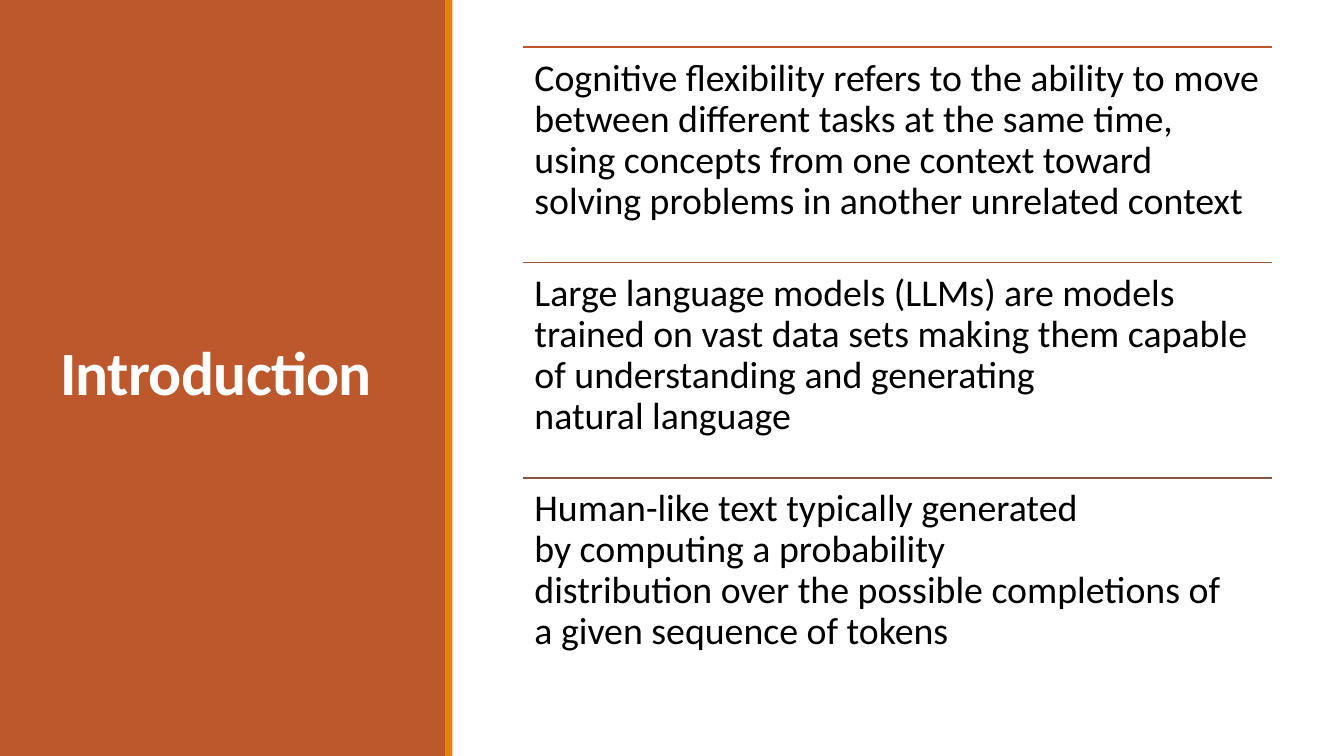
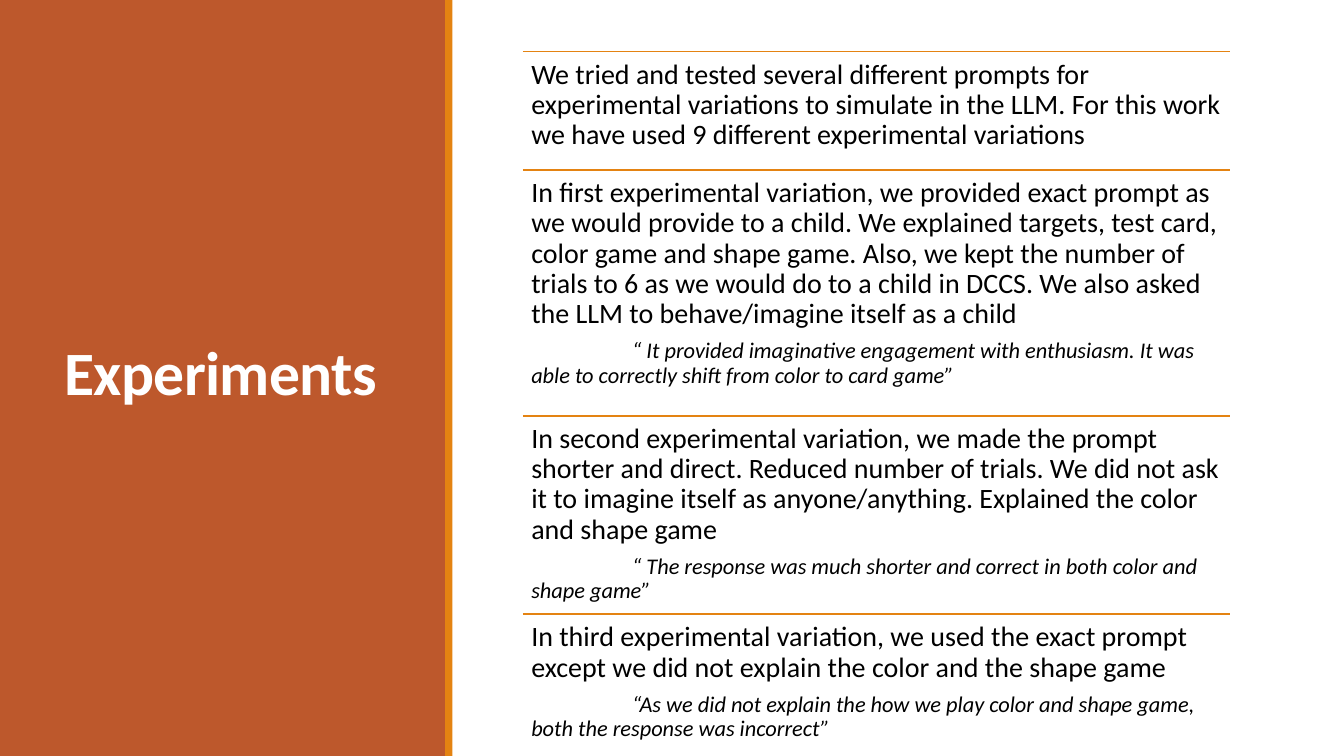
from lxml.etree import SubElement
from pptx import Presentation
from pptx.dml.color import RGBColor
from pptx.enum.shapes import MSO_CONNECTOR as Connector, MSO_SHAPE as Shape
from pptx.enum.text import MSO_ANCHOR as Anchor
from pptx.oxml.ns import qn
from pptx.util import Emu, Pt

WIDTH, HEIGHT = 1280, 720
SIDEBAR_WIDTH, ACCENT_LEFT, ACCENT_WIDTH = 425, 424, 7
LIST_LEFT = 498
RUST, ORANGE, WHITE, BLACK = "BD582C", "E48312", "FFFFFF", "000000"
FONT = "Calibri"
QUOTE_SIZE, QUOTE_INDENT = 16, 96
TIE = "~"  # stands for a no-break space in the texts below


def px(length):
    return Emu(length * 9525)


def color(hex_value):
    return RGBColor.from_string(hex_value)


class Deck:
    def __init__(self):
        self.presentation = Presentation()
        self.presentation.slide_width = px(WIDTH)
        self.presentation.slide_height = px(HEIGHT)
        self.slide = None

    def add_slide(self, title, title_box):
        """Start a slide with the sidebar and its title."""
        layout = self.presentation.slide_layouts[6]
        self.slide = self.presentation.slides.add_slide(layout)
        self.band(0, SIDEBAR_WIDTH, RUST)
        self.band(ACCENT_LEFT, ACCENT_WIDTH, ORANGE)
        frame = self.text_frame(*title_box, vertical_anchor=Anchor.MIDDLE)
        run = self.add_text(frame.paragraphs[0], title, 44, WHITE,
                            line_spacing=0.85, bold=True)
        run.font._element.set("spc", "-50")

    def band(self, left, width, fill):
        shape = self.slide.shapes.add_shape(
            Shape.RECTANGLE, px(left), 0, px(width), px(HEIGHT))
        shape.shadow.inherit = False
        shape.fill.solid()
        shape.fill.fore_color.rgb = color(fill)
        shape.line.fill.background()

    def rule(self, top, width, line_color):
        connector = self.slide.shapes.add_connector(
            Connector.STRAIGHT, px(LIST_LEFT), px(top),
            px(LIST_LEFT + width), px(top))
        connector.line.color.rgb = color(line_color)
        connector.line.width = Pt(1.25)
        SubElement(connector._element.spPr, qn("a:effectLst"))

    def text_frame(self, left, top, width, height, **settings):
        box = self.slide.shapes.add_textbox(
            px(left), px(top), px(width), px(height))
        for name, value in {"word_wrap": True, **settings}.items():
            setattr(box.text_frame, name, value)
        return box.text_frame

    def add_text(self, paragraph, text, size, text_color,
                 line_spacing=0.9, space_after=0, **font_values):
        paragraph.line_spacing = line_spacing
        paragraph.space_after = Pt(space_after)
        run = paragraph.add_run()
        run.text = text.replace(TIE, chr(160))
        values = {"name": FONT, "size": Pt(size), **font_values}
        for name, value in values.items():
            setattr(run.font, name, value)
        run.font.color.rgb = color(text_color)
        return run

    def entry(self, top, bottom, width, size, inset, line_color,
              statement, quote=None):
        """Add a ruled list entry, with an italic quote if there is one."""
        self.rule(top, width, line_color)
        margins = {f"margin_{side}": px(inset)
                   for side in ("left", "top", "right", "bottom")}
        frame = self.text_frame(LIST_LEFT, top, width, bottom - top, **margins)
        self.add_text(frame.paragraphs[0], statement, size, BLACK,
                      space_after=round(size * 0.35, 2))
        if quote:
            paragraph = frame.add_paragraph()
            self.add_text(paragraph, quote, QUOTE_SIZE, BLACK, italic=True)
            paragraph._p.get_or_add_pPr().set("indent", str(px(QUOTE_INDENT)))


INTRODUCTION = [
    (RUST, "Cognitive flexibility refers to the ability to~move between "
           "different tasks at the~same time, using concepts from one~context "
           "toward solving problems in~another unrelated~context"),
    ("A05837", "Large language~models (LLMs) are~models trained on vast data "
               "sets making them capable of~understanding and generating "
               "natural~language"),
    ("865640", "Human-like text typically generated by~computing a probability "
               "distribution~over~the possible completions of "
               "a~given~sequence of~tokens"),
]
INTRODUCTION_TOP, INTRODUCTION_STEP = 45, 205

EXPERIMENT_EDGES = [49, 162, 396, 585, 708]
EXPERIMENTS = [
    ("We tried and tested several different prompts for experimental "
     "variations to simulate in the LLM. For this work we have used 9 "
     "different experimental variations", None),
    ("In first experimental variation, we provided exact prompt as we would "
     "provide to a child. We explained targets, test card, color game and "
     "shape game. Also, we kept the number of trials to 6 as we would do to a "
     "child in DCCS. We also asked the LLM to behave/imagine itself as a child",
     "“ It provided imaginative engagement with enthusiasm. It was able to "
     "correctly shift from color to card game”"),
    ("In second experimental variation, we~made the prompt shorter and direct. "
     "Reduced number of trials. We did not ask it to imagine itself as "
     "anyone/anything. Explained the color and shape game",
     "“ The response was much shorter and correct in both color and shape "
     "game”"),
    ("In third experimental variation, we used the exact prompt except we did "
     "not explain the~color and the shape game",
     "“As we did not explain the how we play color and shape game, both the "
     "response was incorrect”"),
]


def main():
    deck = Deck()

    deck.add_slide("Introduction", (48, 56, 362, 605))
    for index, (line_color, statement) in enumerate(INTRODUCTION):
        top = INTRODUCTION_TOP + index * INTRODUCTION_STEP
        deck.entry(top, top + INTRODUCTION_STEP, 713, 27, 11,
                   line_color, statement)

    deck.add_slide("Experiments", (52, 63, 333, 592))
    edges = zip(EXPERIMENT_EDGES, EXPERIMENT_EDGES[1:])
    for (top, bottom), (statement, quote) in zip(edges, EXPERIMENTS):
        deck.entry(top, bottom, 673, 20, 8, ORANGE, statement, quote)

    deck.presentation.save("out.pptx")


if __name__ == "__main__":
    main()
